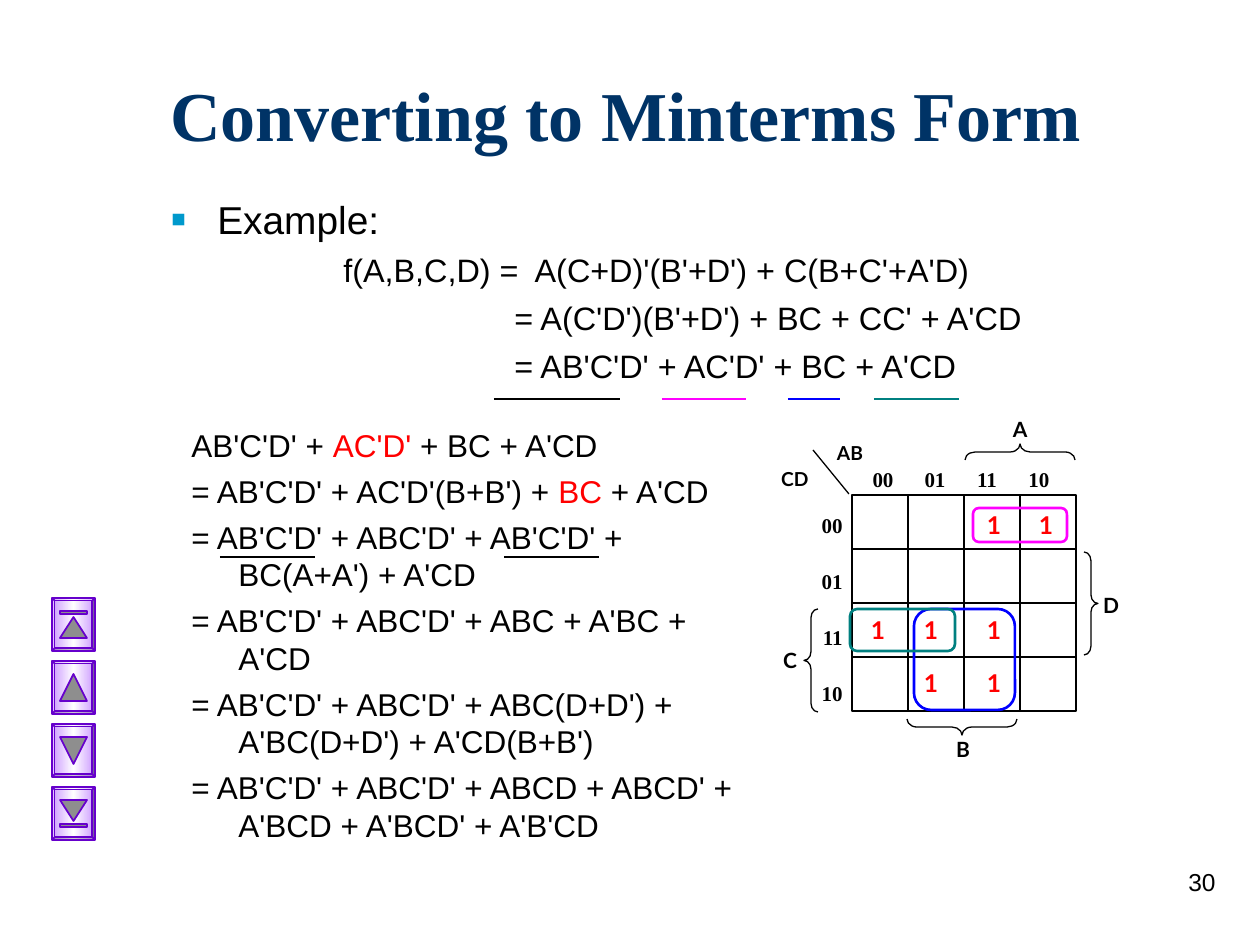
from copy import deepcopy
from dataclasses import dataclass

from lxml.etree import SubElement
from pptx import Presentation
from pptx.dml.color import RGBColor
from pptx.enum.shapes import MSO_CONNECTOR, MSO_SHAPE
from pptx.enum.text import MSO_ANCHOR, PP_ALIGN
from pptx.oxml.ns import qn
from pptx.util import Emu, Pt

EMU_PER_PX = 914400 / 126
COLORS = {
    "black": "000000", "navy": "003366", "sky": "0099CC", "red": "FF0000",
    "magenta": "FF00FF", "blue": "0000FF", "teal": "008080",
    "purple": "6600CC", "lilac": "CC99FF", "white": "FFFFFF", "grey": "8E8E8E",
}
TITLE = {"name": "Times New Roman", "size": Pt(40), "bold": True}
EXAMPLE = {"name": "Arial", "size": Pt(22.2)}
FORMULA = {"name": "Arial", "size": Pt(18.5)}
STEP = {"name": "Arial", "size": Pt(18)}
PAGE = {"name": "Arial", "size": Pt(14)}
MINTERM = {"name": "Lato", "size": Pt(14), "bold": True}
VARIABLE = {"name": "Lato", "size": Pt(12), "bold": True}
CORNER = {"name": "Lato", "size": Pt(11), "bold": True}
CODE = {"name": "Times New Roman", "size": Pt(12), "bold": True}


@dataclass
class Box:
    left: int
    top: int
    width: int
    height: int


@dataclass
class Para:
    runs: list[tuple[str, str]]
    font: dict
    align: PP_ALIGN = PP_ALIGN.LEFT
    before: float = 0
    margin: int = 0
    hanging: int = 0
    bullet: str = ""


@dataclass
class Line:
    x1: int
    y1: int
    x2: int
    y2: int
    color: str = "black"
    weight: float = 0.75


@dataclass
class Outline:
    kind: MSO_SHAPE
    box: Box
    color: str = "black"
    weight: float = 0.75
    adjust: float | None = None
    rotation: int = 0
    fill: str = ""


def px(length: float) -> Emu:
    return Emu(round(length * EMU_PER_PX))


def rgb(color: str) -> RGBColor:
    return RGBColor.from_string(COLORS[color])


def place(box: Box) -> list[Emu]:
    return [px(v) for v in (box.left, box.top, box.width, box.height)]


def add_bullet(properties, char: str) -> None:
    color = SubElement(properties, qn("a:buClr"))
    SubElement(color, qn("a:srgbClr"), val=COLORS["sky"])
    SubElement(properties, qn("a:buSzPct"), val="120000")
    SubElement(properties, qn("a:buFont"), typeface="Arial")
    SubElement(properties, qn("a:buChar"), char=char)


def add_text(slide, box: Box, paras: list[Para], anchor=MSO_ANCHOR.TOP) -> None:
    frame = slide.shapes.add_textbox(*place(box)).text_frame
    frame.word_wrap = True
    frame.vertical_anchor = anchor
    for index, para in enumerate(paras):
        paragraph = frame.add_paragraph() if index else frame.paragraphs[0]
        paragraph.alignment = para.align
        paragraph.space_before = Pt(para.before)
        properties = paragraph._p.get_or_add_pPr()
        properties.set("marL", str(px(para.margin)))
        properties.set("indent", str(px(-para.hanging)))
        if para.bullet:
            add_bullet(properties, para.bullet)
        for words, color in para.runs:
            run = paragraph.add_run()
            run.text = words
            run.font.color.rgb = rgb(color)
            for name, value in para.font.items():
                setattr(run.font, name, value)


def add_label(slide, words: str, box: Box, font: dict, color: str = "black",
              align: PP_ALIGN = PP_ALIGN.CENTER) -> None:
    add_text(slide, box, [Para([(words, color)], font, align)])


def add_line(slide, line: Line) -> None:
    ends = [px(v) for v in (line.x1, line.y1, line.x2, line.y2)]
    connector = slide.shapes.add_connector(MSO_CONNECTOR.STRAIGHT, *ends)
    connector.line.color.rgb = rgb(line.color)
    connector.line.width = Pt(line.weight)
    SubElement(connector._element.spPr, qn("a:effectLst"))


def add_outline(slide, outline: Outline):
    shape = slide.shapes.add_shape(outline.kind, *place(outline.box))
    shape.shadow.inherit = False
    shape.rotation = outline.rotation
    if outline.adjust is not None:
        shape.adjustments[0] = outline.adjust
    if outline.fill:
        shape.fill.solid()
        shape.fill.fore_color.rgb = rgb(outline.fill)
    else:
        shape.fill.background()
    shape.line.color.rgb = rgb(outline.color)
    shape.line.width = Pt(outline.weight)
    return shape


def add_button(slide, top: int, points_up: bool, bar: bool) -> None:
    frame = add_outline(slide, Outline(MSO_SHAPE.BEVEL, Box(52, top, 43, 53),
                                       "purple", 1, 0.06))
    frame.fill.gradient()
    frame.fill.gradient_angle = 0
    stops = frame.fill._fill._gradFill.gsLst
    while len(stops) > 2:
        stops.remove(stops[-1])
    stops.append(deepcopy(stops[0]))
    for stop, position, color in zip(frame.fill.gradient_stops, (0, 0.5, 1),
                                     ("lilac", "white", "lilac")):
        stop.position = position
        stop.color.rgb = rgb(color)
    height = 21 if bar else 27
    offset = 13 if not bar else 19 if points_up else 13
    add_outline(slide, Outline(MSO_SHAPE.ISOSCELES_TRIANGLE,
                               Box(60, top + offset, 27, height), "purple", 1,
                               rotation=0 if points_up else 180, fill="grey"))
    if bar:
        bar_top = top + (13 if points_up else 37)
        add_outline(slide, Outline(MSO_SHAPE.RECTANGLE, Box(60, bar_top, 27, 3),
                                   "purple", 1, fill="grey"))


def main() -> None:
    deck = Presentation()
    deck.slide_width, deck.slide_height = px(1260), px(945)
    slide = deck.slides.add_slide(deck.slide_layouts[6])

    # Title, example and page number
    add_text(slide, Box(158, 63, 1071, 102),
             [Para([("Converting to Minterms Form", "navy")], TITLE)], MSO_ANCHOR.MIDDLE)
    formulas = [(173, "f(A,B,C,D) =  A(C+D)'(B'+D') + C(B+C'+A'D)"),
                (344, "= A(C'D')(B'+D') + BC + CC' + A'CD"),
                (344, "= AB'C'D' + AC'D' + BC + A'CD")]
    example = Para([("Example:", "black")], EXAMPLE, before=6, margin=47,
                   hanging=47, bullet="▪")
    add_text(slide, Box(158, 189, 924, 231), [example] + [
        Para([(words, "black")], FORMULA, before=5, margin=margin)
        for margin, words in formulas])
    add_text(slide, Box(966, 861, 262, 63),
             [Para([("30", "black")], PAGE, PP_ALIGN.RIGHT, before=8.8)])

    # Expansion steps
    steps = [
        [("AB'C'D' + ", "black"), ("AC'D'", "red"), (" + BC + A'CD", "black")],
        [("= AB'C'D' + AC'D'(B+B') + ", "black"), ("BC", "red"), (" + A'CD", "black")],
        [("= AB'C'D' + ABC'D' + AB'C'D' + BC(A+A') + A'CD", "black")],
        [("= AB'C'D' + ABC'D' + ABC + A'BC + A'CD", "black")],
        [("= AB'C'D' + ABC'D' + ABC(D+D') + A'BC(D+D') + A'CD(B+B')", "black")],
        [("= AB'C'D' + ABC'D' + ABCD + ABCD' + A'BCD + A'BCD' + A'B'CD", "black")],
    ]
    add_text(slide, Box(179, 420, 588, 431), [
        Para(runs, STEP, before=4.5, margin=47, hanging=47) for runs in steps])

    # Underlines of terms
    for x1, x2, color in ((494, 620, "black"), (662, 746, "magenta"),
                          (788, 840, "blue"), (874, 959, "teal")):
        add_line(slide, Line(x1, 399, x2, 399, color, 1.5))
    for x1 in (220, 504):
        add_line(slide, Line(x1, 557, x1 + 95, 557))

    # Karnaugh map grid
    left, top, cell_width, cell_height = 852, 495, 56, 54
    right, bottom = left + 4 * cell_width, top + 4 * cell_height
    add_outline(slide, Outline(MSO_SHAPE.RECTANGLE,
                               Box(left, top, right - left, bottom - top)))
    for i in range(1, 4):
        x, y = left + i * cell_width, top + i * cell_height
        add_line(slide, Line(x, top, x, bottom))
        add_line(slide, Line(left, y, right, y))
    add_line(slide, Line(849, 494, 813, 450))

    # Map codes, variables and braces
    for i, code in enumerate(("00", "01", "11", "10")):
        add_label(slide, code, Box(855 + 52 * i, 460, 56, 44), CODE)
        add_label(slide, code, Box(806, 506 + 56 * i, 49, 44), CODE, align=PP_ALIGN.RIGHT)
    for name, x, y in (("A", 999, 410), ("B", 942, 730), ("C", 769, 641), ("D", 1090, 586)):
        add_label(slide, name, Box(x, y, 42, 44), VARIABLE)
    add_label(slide, "CD", Box(756, 461, 78, 37), CORNER)
    add_label(slide, "AB", Box(818, 435, 64, 37), CORNER)
    for kind, box, rotation in (
            (MSO_SHAPE.LEFT_BRACE, Box(1012, 397, 16, 110), 90),
            (MSO_SHAPE.LEFT_BRACE, Box(954, 672, 16, 110), 270),
            (MSO_SHAPE.LEFT_BRACE, Box(804, 609, 14, 103), 0),
            (MSO_SHAPE.RIGHT_BRACE, Box(1084, 552, 14, 103), 0)):
        add_outline(slide, Outline(kind, box, adjust=0.62, rotation=rotation))

    # Minterms and their groups
    for x, y in ((966, 504), (1018, 504), (850, 609), (903, 609), (966, 609),
                 (903, 662), (966, 662)):
        add_label(slide, "1", Box(x, y, 56, 44), MINTERM, "red")
    for box, color in ((Box(914, 609, 101, 101), "blue"), (Box(850, 609, 105, 42), "teal"),
                       (Box(973, 508, 94, 34), "magenta")):
        add_outline(slide, Outline(MSO_SHAPE.ROUNDED_RECTANGLE, box, color, 1.5, 0.17))

    # Navigation buttons
    for i, (points_up, bar) in enumerate(((True, True), (True, False),
                                          (False, False), (False, True))):
        add_button(slide, 598 + 63 * i, points_up, bar)

    deck.save("out.pptx")


if __name__ == "__main__":
    main()
